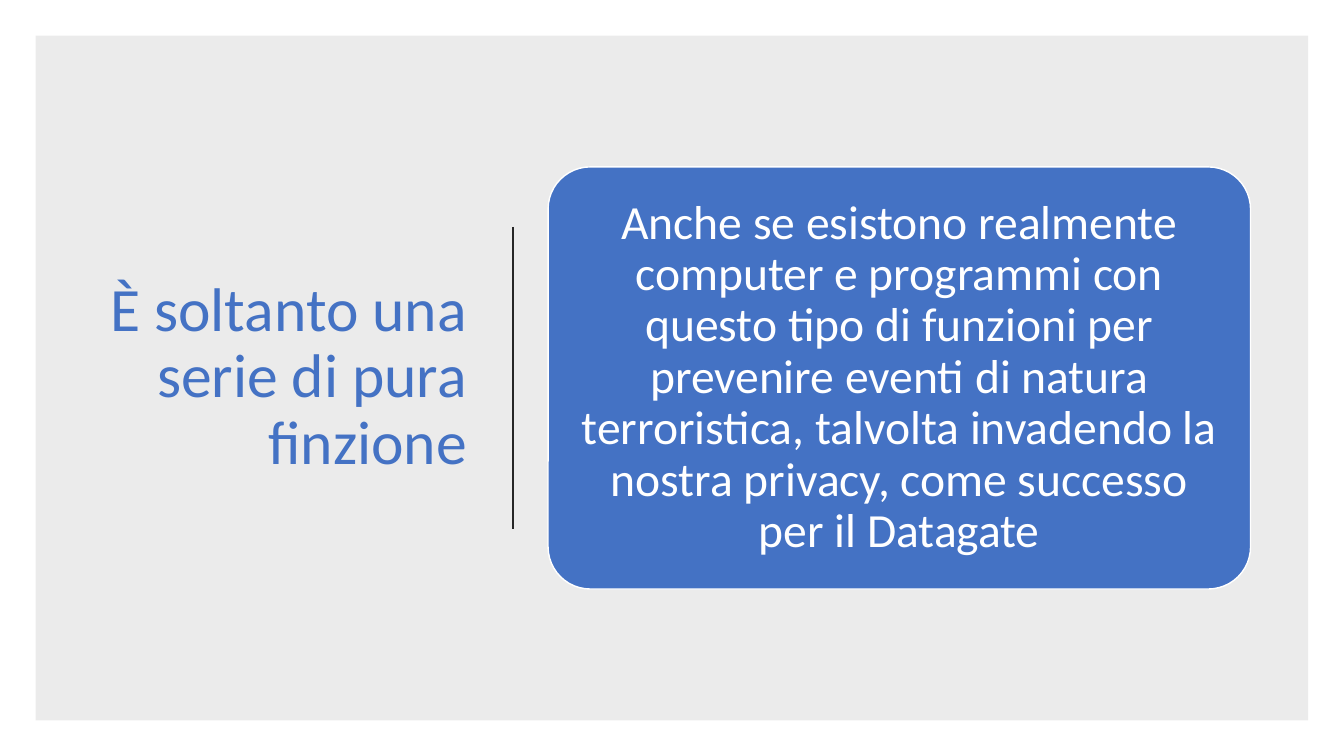
import lxml.etree
import pptx
import pptx.dml.color
import pptx.enum.shapes
import pptx.enum.text
import pptx.oxml.ns
import pptx.util

EMU_PER_PX = 9525
SLIDE_SIZE = (1280, 720)
BLUE = "4472C4"
WHITE = "FFFFFF"
SHAPES = pptx.enum.shapes.MSO_SHAPE
ALIGN = pptx.enum.text.PP_ALIGN


def px(length):
    return pptx.util.Emu(length * EMU_PER_PX)


def color(value):
    return pptx.dml.color.RGBColor.from_string(value)


def set_values(target, values):
    for name, value in values.items():
        setattr(target, name, value)


def write_text(shape, text, size, fill, alignment, insets):
    frame = shape.text_frame
    horizontal, vertical = map(px, insets)
    set_values(frame, {
        "word_wrap": True,
        "vertical_anchor": pptx.enum.text.MSO_ANCHOR.MIDDLE,
        "margin_left": horizontal,
        "margin_right": horizontal,
        "margin_top": vertical,
        "margin_bottom": vertical,
    })
    paragraph = frame.paragraphs[0]
    set_values(paragraph, {"alignment": alignment, "line_spacing": 0.9})
    run = paragraph.add_run()
    run.text = text
    set_values(run.font, {"name": "Calibri", "size": pptx.util.Pt(size)})
    run.font.color.rgb = color(fill)


def add_filled_shape(slide, kind, box, fill):
    shape = slide.shapes.add_shape(kind, *map(px, box))
    shape.shadow.inherit = False
    shape.fill.solid()
    shape.fill.fore_color.rgb = color(fill)
    return shape


def add_backdrop(slide, box):
    backdrop = add_filled_shape(slide, SHAPES.RECTANGLE, box, "000000")
    backdrop.line.fill.background()
    qualified = pptx.oxml.ns.qn
    fill_color = backdrop.fill._xPr.find(qualified("a:solidFill")).find(qualified("a:srgbClr"))
    lxml.etree.SubElement(fill_color, qualified("a:alpha"), val="8000")


def add_title(slide, box):
    title = slide.shapes.add_textbox(*map(px, box))
    write_text(title, "È soltanto una serie di pura finzione", 44, BLUE, ALIGN.RIGHT, (10, 5))


def add_divider(slide, box):
    left, top, width, height = box
    ends = map(px, (left, top, left + width, top + height))
    divider = slide.shapes.add_connector(pptx.enum.shapes.MSO_CONNECTOR.STRAIGHT, *ends)
    divider.line.color.rgb = color("262626")
    divider.line.width = pptx.util.Pt(1.5)
    lxml.etree.SubElement(divider._element.spPr, pptx.oxml.ns.qn("a:effectLst"))


def add_card(slide, box):
    card = add_filled_shape(slide, SHAPES.ROUNDED_RECTANGLE, box, BLUE)
    card.adjustments[0] = 0.1
    card.line.color.rgb = color(WHITE)
    card.line.width = pptx.util.Pt(1)
    text = (
        "Anche se esistono realmente computer e programmi con questo tipo di funzioni "
        "per prevenire eventi di natura terroristica, talvolta invadendo la nostra "
        "privacy, come successo per il Datagate"
    )
    write_text(card, text, 34, WHITE, ALIGN.CENTER, (13, 13))


def main():
    presentation = pptx.Presentation()
    width, height = SLIDE_SIZE
    set_values(presentation, {"slide_width": px(width), "slide_height": px(height)})
    slide = presentation.slides.add_slide(presentation.slide_layouts[6])
    margin = 34
    add_backdrop(slide, (margin, margin, width - 2 * margin, height - 2 * margin))
    add_title(slide, (88, 101, 367, 518))
    add_divider(slide, (489, 216, 0, 288))
    add_card(slide, (522, 159, 669, 402))
    presentation.save("out.pptx")


if __name__ == "__main__":
    main()
